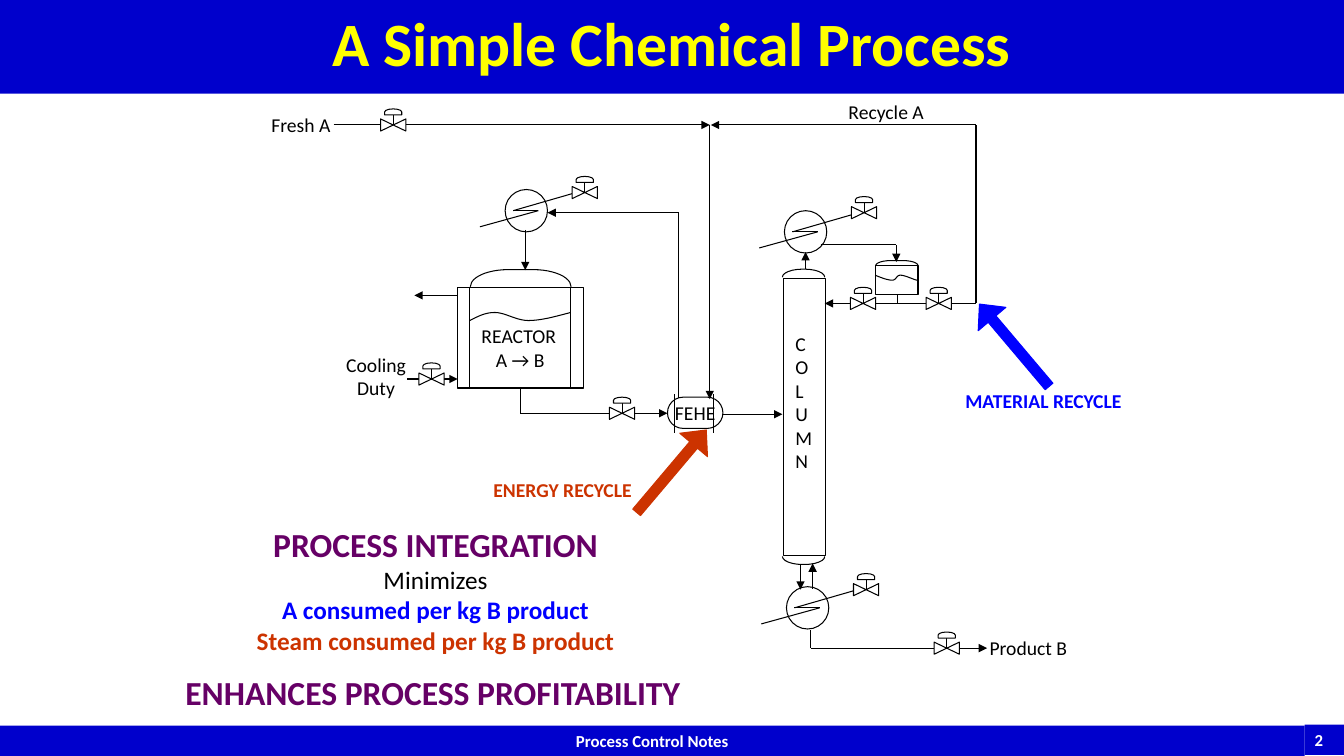
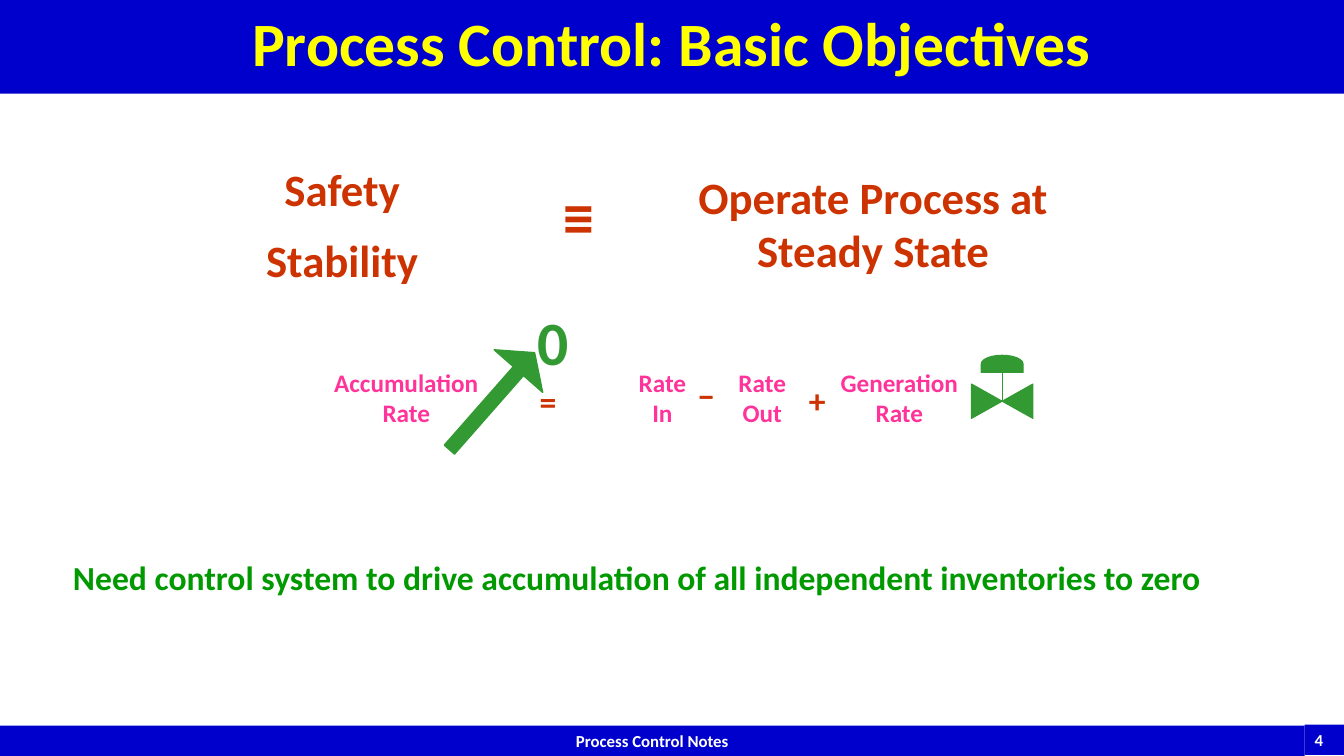
import itertools
import pptx
import pptx.dml.color
import pptx.enum.shapes
import pptx.enum.text
import pptx.oxml.ns
import pptx.oxml.xmlchemy
import pptx.util

Inches, Pt = pptx.util.Inches, pptx.util.Pt
MSO = pptx.enum.shapes.MSO_SHAPE
ALIGN = pptx.enum.text.PP_ALIGN
COLOURS = {
    "band": "0000CC", "title": "FFFF00", "white": "FFFFFF", "black": "000000",
    "energy": "CC3300", "material": "0000FF", "heading": "660066",
    "rate": "FF3399", "control": "339933", "conclusion": "009900",
}
RGB = {name: pptx.dml.color.RGBColor.from_string(value) for name, value in COLOURS.items()}


def add_shape(s, kind, x, y, w, h, fill=None, line="black", width=0.75, rot=0, adj=()):
    sp = s.shapes.add_shape(kind, Inches(x), Inches(y), Inches(w), Inches(h))
    sp.shadow.inherit = False
    sp.rotation = rot
    for i, value in enumerate(adj):
        sp.adjustments[i] = value
    if fill:
        sp.fill.solid()
        sp.fill.fore_color.rgb = RGB[fill]
    else:
        sp.fill.background()
    if line:
        sp.line.color.rgb = RGB[line]
        sp.line.width = Pt(width)
    else:
        sp.line.fill.background()
    return sp


def write(sp, text, size, colour="black", bold=False, align=ALIGN.CENTER, wrap=False):
    tf = sp.text_frame
    tf.text = text
    tf.word_wrap = wrap
    for p in tf.paragraphs:
        p.alignment = align
        for r in p.runs:
            r.font.name = "Calibri"
            r.font.size = Pt(size)
            r.font.bold = bold
            r.font.color.rgb = RGB[colour]
    return tf


prs = pptx.Presentation()
prs.slide_width, prs.slide_height = Inches(13.33), Inches(7.5)

slides = []
for title, number in [("A Simple Chemical Process", "2"), ("Process Control: Basic Objectives", "4")]:
    s = prs.slides.add_slide(prs.slide_layouts[6])
    slides.append(s)
    footer = add_shape(s, MSO.RECTANGLE, 0, 7.2, 12.94, 0.3, "band", None)
    write(footer, "Process Control Notes", 12, "white", True, wrap=True)
    page = add_shape(s, MSO.RECTANGLE, 12.94, 7.19, 0.4, 0.3, "band", None)
    write(page, number, 12, "white", True, ALIGN.LEFT)
    band = add_shape(s, MSO.RECTANGLE, 0, 0, 13.33, 0.93, "band", None)
    write(band, title, 44, "title", True, wrap=True).paragraphs[0].line_spacing = 0.9
process, objectives = slides

valves = [(process, x, y, 1, 1, "white", "black") for x, y in [
    (8.57, 2.11), (8.59, 5.85), (9.31, 3.01), (8.56, 3.01), (9.39, 6.43),
    (4.28, 3.76), (3.9, 1.24), (6.17, 4.1), (5.8, 1.91),
]]
valves.append((objectives, 9.94, 3.98, 2.44, 2.85, "control", "control"))
condensers = [(7.99, 2.3), (8.01, 6.03), (5.22, 2.09)]

pipes = [(process, points, "black", width, arrow) for points, width, arrow in [
    ([(9.68, 3.01), (9.68, 1.24), (7.05, 1.24)], 0.75, True),
    ([(9.68, 3.01), (8.18, 3.01)], 0.75, True),
    ([(7.99, 2.67), (7.99, 2.5)], 0.75, True),
    ([(7.94, 5.6), (7.94, 5.85)], 0.75, True),
    ([(8.06, 5.84), (8.06, 5.59)], 0.75, True),
    ([(8.14, 2.43), (8.89, 2.43), (8.89, 2.6)], 0.75, True),
    ([(8.9, 2.93), (8.9, 3.01)], 0.75, False),
    ([(8.04, 6.25), (8.04, 6.43), (9.79, 6.43)], 0.75, True),
    ([(4.04, 3.76), (4.54, 3.76)], 0.75, True),
    ([(4.53, 2.93), (4.11, 2.93)], 0.75, True),
    ([(6.73, 3.95), (6.73, 2.11), (5.43, 2.11)], 0.75, True),
    ([(3.31, 1.24), (7.04, 1.24)], 0.75, True),
    ([(5.16, 3.85), (5.16, 4.1), (6.62, 4.1)], 0.75, True),
    ([(7.17, 4.11), (7.76, 4.11)], 0.75, True),
    ([(6.69, 3.91), (6.69, 4.3)], 0.5, False),
    ([(7.08, 3.91), (7.08, 4.3)], 0.5, False),
    ([(7.04, 1.24), (7.04, 3.96)], 0.5, True),
    ([(5.21, 2.28), (5.21, 2.68)], 0.5, True),
]]
for s, x, y, kx, ky, fill, line in valves:
    pipes.append((s, [(x, y), (x, y - 0.1 * ky)], line, 0.75, False))
for x, y in condensers:
    zigzag = [(x + 0.46, y - 0.17), (x - 0.13, y), (x + 0.12, y), (x - 0.46, y + 0.16)]
    pipes.append((process, zigzag, "black", 0.75, False))

for s, points, colour, width, arrow in pipes:
    for (x1, y1), (x2, y2) in itertools.pairwise(points):
        cxn = s.shapes.add_connector(
            pptx.enum.shapes.MSO_CONNECTOR.STRAIGHT, Inches(x1), Inches(y1), Inches(x2), Inches(y2))
        cxn.line.color.rgb = RGB[colour]
        cxn.line.width = Pt(width)
        spPr = cxn._element.spPr
        if arrow and (x2, y2) == points[-1]:
            tail = pptx.oxml.xmlchemy.OxmlElement("a:tailEnd")
            tail.set("type", "triangle")
            spPr.find(pptx.oxml.ns.qn("a:ln")).append(tail)
        spPr.append(pptx.oxml.xmlchemy.OxmlElement("a:effectLst"))

for x, y in condensers:
    add_shape(process, MSO.OVAL, x - 0.21, y - 0.21, 0.42, 0.42)
for s, x, y, kx, ky, fill, line in valves:
    for kind, w, h, rise in [(MSO.FLOWCHART_COLLATE, 0.12, 0.25, 0), (MSO.FLOWCHART_DELAY, 0.06, 0.17, 0.13)]:
        w, h = w * ky, h * kx
        add_shape(s, kind, x - w / 2, y - rise * ky - h / 2, w, h, fill, line, rot=270)

for kind, x, y, w, h, rot, adj in [
    (MSO.RECTANGLE, 7.77, 2.76, 0.42, 2.75, 0, []),
    (MSO.RIGHT_BRACKET, 7.93, 2.5, 0.08, 0.42, 270, [2.5]),
    (MSO.RIGHT_BRACKET, 7.93, 5.35, 0.08, 0.42, 90, [2.5]),
    (MSO.RECTANGLE, 8.75, 2.57, 0.29, 0.42, 270, []),
    (MSO.RIGHT_BRACKET, 8.87, 2.4, 0.05, 0.42, 270, [3]),
    (MSO.RECTANGLE, 4.66, 2.85, 1, 1, 0, []),
    (MSO.RECTANGLE, 4.54, 2.85, 1.25, 1, 0, []),
    (MSO.RIGHT_BRACKET, 5.08, 2.26, 0.17, 1, 270, [2.2]),
    (MSO.ROUNDED_RECTANGLE, 6.62, 3.94, 0.55, 0.31, 0, [0.5]),
]:
    add_shape(process, kind, x, y, w, h, rot=rot, adj=adj)

for level in [
    [(8.68, 2.73), (8.75, 2.76), (8.81, 2.78), (8.85, 2.78), (8.89, 2.78),
     (8.89, 2.73), (8.93, 2.73), (8.98, 2.73), (9.07, 2.78), (9.1, 2.78)],
    [(4.66, 3.18), (4.74, 3.14), (4.81, 3.1), (4.91, 3.1), (5.01, 3.1),
     (5.12, 3.18), (5.24, 3.18), (5.37, 3.18), (5.51, 3.14), (5.66, 3.1)],
]:
    curve = []
    for i in range(0, 9, 3):
        for t in [step / 10 for step in range(1, 11)]:
            weights = [(1 - t) ** 3, 3 * t * (1 - t) ** 2, 3 * t * t * (1 - t), t ** 3]
            curve.append(tuple(
                Inches(sum(k * c for k, c in zip(weights, axis))) for axis in zip(*level[i:i + 4])))
    builder = process.shapes.build_freeform(Inches(level[0][0]), Inches(level[0][1]))
    builder.add_line_segments(curve, close=False)
    sp = builder.convert_to_shape()
    sp.shadow.inherit = False
    sp.fill.background()
    sp.line.color.rgb = RGB["black"]
    sp.line.width = Pt(0.75)

for s, x, y, w, h, rot, adj, colour, width in [
    (process, 6.48, 4.14, 0.36, 1.07, 40.2, [0.28, 0.54], "energy", 0.75),
    (process, 9.88, 2.89, 0.36, 1.07, 319.8, [0.28, 0.54], "material", 0.75),
    (objectives, 4.56, 3.34, 0.64, 1.28, 41.3, [0.21, 0.38], "control", 1),
]:
    add_shape(s, MSO.UP_ARROW, x, y, w, h, colour, colour, width, rot, adj)

labels = [
    (process, 8.31, 0.94, 0.96, 0.34, "Recycle A", 14, "black", False),
    (process, 7.79, 3.24, 0.37, 1.51, "C\nO\nL\nU\nM\nN", 14, "black", False),
    (process, 9.71, 6.26, 0.98, 0.34, "Product B", 14, "black", False),
    (process, 4.67, 3.16, 0.95, 0.34, "REACTOR", 14, "black", False),
    (process, 4.81, 3.4, 0.7, 0.34, "A → B", 14, "black", False),
    (process, 3.33, 3.45, 0.8, 0.57, "Cooling\nDuty", 14, "black", False),
    (process, 2.59, 1.07, 0.79, 0.34, "Fresh A", 14, "black", False),
    (process, 6.59, 3.93, 0.61, 0.34, "FEHE", 14, "black", False),
    (process, 4.79, 4.69, 1.58, 0.34, "ENERGY RECYCLE", 14, "energy", True),
    (process, 9.47, 3.81, 1.76, 0.34, "MATERIAL RECYCLE", 14, "material", True),
    (objectives, 2.53, 1.56, 1.73, 1.35, "Safety\nStability", 32, "energy", True),
    (objectives, 5.49, 1.72, 0.51, 0.84, "≡", 44, "energy", True),
    (objectives, 6.51, 1.63, 4.3, 1.18, "Operate Process at Steady State", 32, "energy", True),
    (objectives, 5.25, 3.73, 0.37, 0.5, "=", 24, "energy", True),
    (objectives, 7.92, 3.72, 0.37, 0.5, "+", 24, "energy", True),
    (objectives, 6.82, 3.67, 0.37, 0.5, "−", 24, "energy", True),
    (objectives, 5.23, 2.97, 0.51, 0.84, "0", 44, "control", True),
    (objectives, 0.57, 5.48, 11.49, 0.5,
     "Need control system to drive accumulation of all independent inventories to zero", 24, "conclusion", True),
]
for centre, w, term in [
    (4.03, 1.64, "Accumulation\nRate"), (6.57, 0.7, "Rate\nIn"),
    (7.56, 0.7, "Rate\nOut"), (8.92, 1.4, "Generation\nRate"),
]:
    labels.append((objectives, centre - w / 2, 3.59, w, 0.71, term, 18, "rate", True))

for s, x, y, w, h, text, size, colour, bold in labels:
    sp = s.shapes.add_textbox(Inches(x), Inches(y), Inches(w), Inches(h))
    align = ALIGN.LEFT if text.startswith("C\n") else ALIGN.CENTER
    tf = write(sp, text, size, colour, bold, align, wrap=text.startswith("Operate"))
    if text.startswith("Safety"):
        tf.paragraphs[1].space_before = Pt(12)

benefits = [
    ("PROCESS INTEGRATION", 24, "heading", True),
    ("Minimizes", 18, "black", False),
    ("A consumed per kg B product", 18, "material", True),
    ("Steam consumed per kg B product", 18, "energy", True),
    ("ENHANCES PROCESS PROFITABILITY", 24, "heading", True),
]
sp = process.shapes.add_textbox(Inches(1.74), Inches(5.15), Inches(5.16), Inches(1.99))
tf = write(sp, "\n".join(row[0] for row in benefits), 18)
for p, (text, size, colour, bold) in zip(tf.paragraphs, benefits):
    font = p.runs[0].font
    font.size = Pt(size)
    font.bold = bold
    font.color.rgb = RGB[colour]
p.alignment = ALIGN.LEFT
p.space_before = Pt(12)

prs.save("out.pptx")
